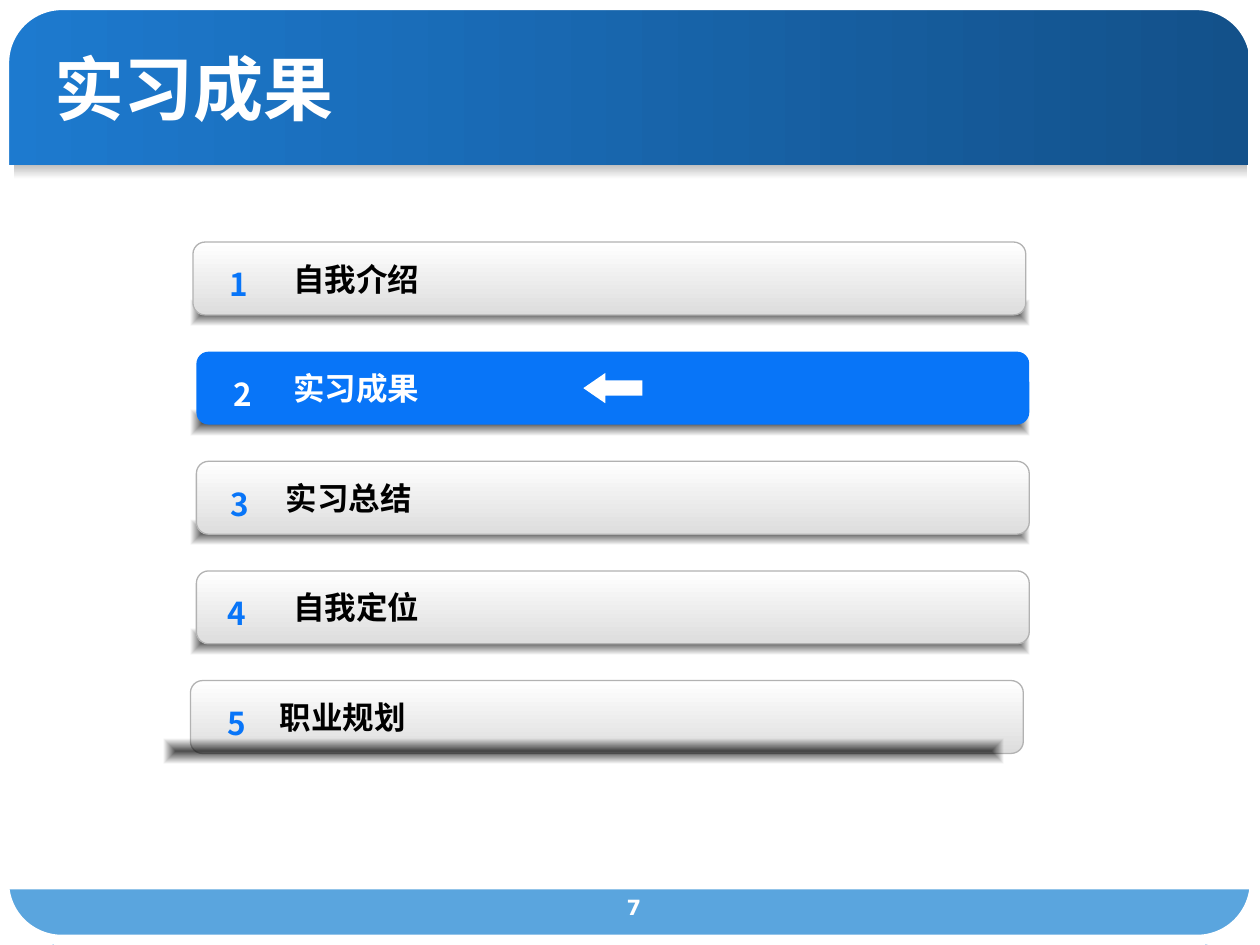
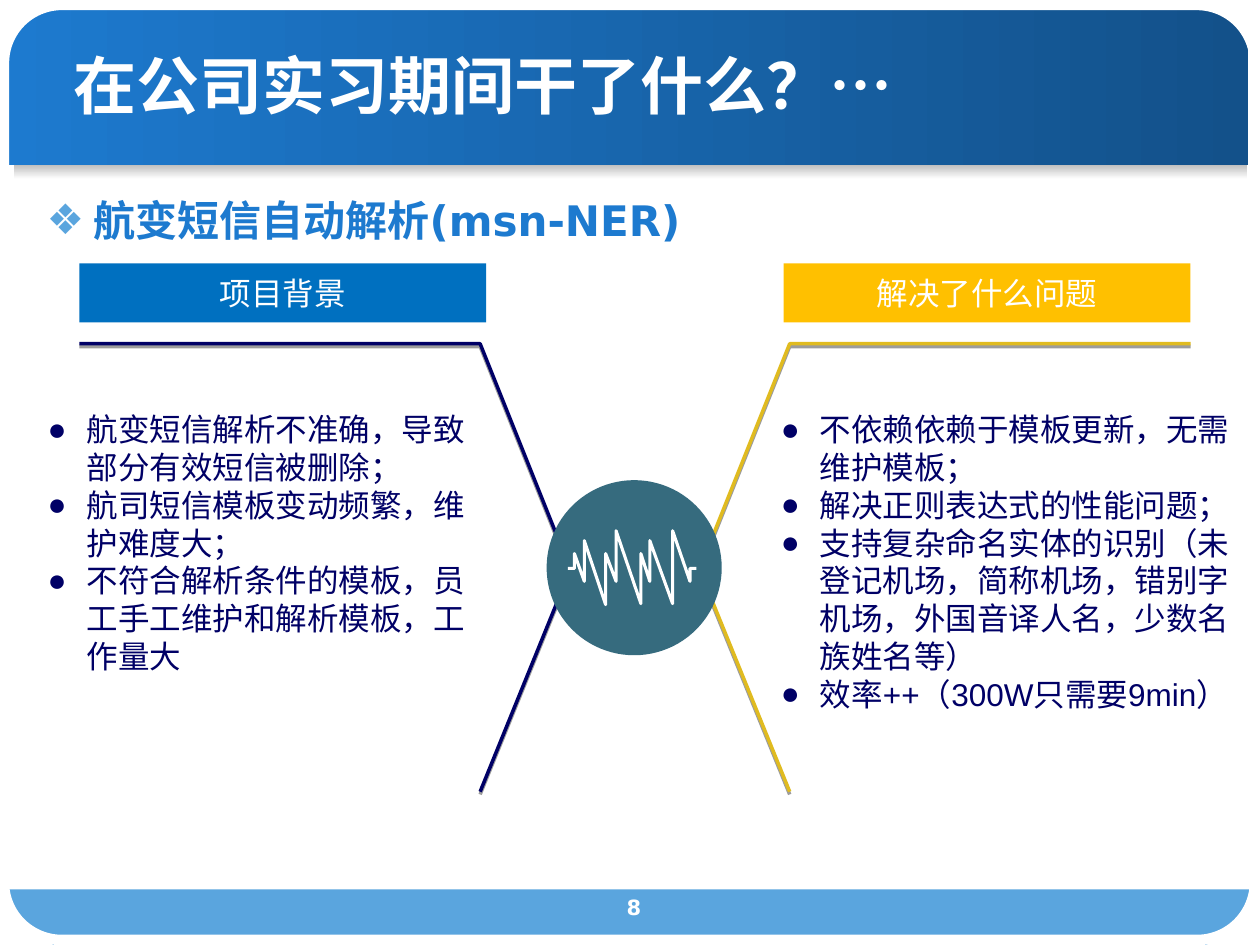
from pptx import Presentation
from pptx import util as u
from pptx.dml.color import RGBColor
from pptx.enum import shapes, text
from pptx.oxml import ns
from lxml import etree

WIDE, HIGH = 25.4, 19.05
WHITE, SKY, BRIGHT, NAVY, BLUE = "FFFFFF", "5AA5DE", "0875F8", "000066", "1D7ACF"
SANS, LATIN, DEJA = "Noto Sans CJK SC", "Arial", "DejaVu Sans"
KIND = shapes.MSO_SHAPE
ALIGN = text.PP_ALIGN
MID = text.MSO_ANCHOR.MIDDLE
PAD = (0.25, 0.13, 0.25, 0.13)


def color(code):
    return RGBColor.from_string(code)


def cm(*vals):
    return [u.Cm(v) for v in vals]


def child(node, tag, **attrs):
    return etree.SubElement(node, ns.qn("a:" + tag), attrs)


def paint(shape, fill=None, line=None, width=0.75, angle=0):
    """Fill is None, one hex string, or a pair of them for a gradient."""
    shape.shadow.inherit = False
    if fill is None:
        shape.fill.background()
    elif isinstance(fill, str):
        shape.fill.solid()
        shape.fill.fore_color.rgb = color(fill)
    else:
        shape.fill.gradient()
        shape.fill.gradient_angle = angle
        for stop, code in zip(shape.fill.gradient_stops, fill):
            stop.color.rgb = color(code)
    if line:
        shape.line.color.rgb = color(line)
        shape.line.width = u.Pt(width)
    else:
        shape.line.fill.background()
    return shape


def block(slide, kind, box, adjust=(), **look):
    shape = slide.shapes.add_shape(kind, *cm(*box))
    for i, val in enumerate(adjust):
        shape.adjustments[i] = val
    return paint(shape, **look)


def outline(slide, points, close=False, **look):
    first, *rest = [cm(*p) for p in points]
    pen = slide.shapes.build_freeform(*first, scale=1.0)
    pen.add_line_segments(rest, close=close)
    return paint(pen.convert_to_shape(), **look)


def bullet(para, mark, code, indent):
    props = para._p.get_or_add_pPr()
    props.set("marL", str(u.Cm(indent)))
    props.set("indent", str(-u.Cm(indent)))
    child(child(props, "buClr"), "srgbClr", val=code)
    child(props, "buFont", typeface=LATIN)
    child(props, "buChar", char=mark)


def write(shape, lines, size, code, font=SANS, bold=False, align=ALIGN.LEFT,
          pad=(0, 0, 0, 0), anchor=MID, wrap=True, mark=None):
    frame = shape.text_frame
    sides = ("left", "top", "right", "bottom")
    form = {"word_wrap": wrap, "vertical_anchor": anchor}
    form.update({"margin_" + s: u.Cm(v) for s, v in zip(sides, pad)})
    for name, val in form.items():
        setattr(frame, name, val)
    look = {"name": font, "size": u.Pt(size), "bold": bold}
    for i, words in enumerate(lines):
        para = frame.add_paragraph() if i else frame.paragraphs[0]
        para.alignment = align
        if mark:
            para.line_spacing = u.Pt(size * 1.2)
            bullet(para, *mark)
        run = para.add_run()
        run.text = words
        for name, val in look.items():
            setattr(run.font, name, val)
        run.font.color.rgb = color(code)
        child(run._r.get_or_add_rPr(), "ea", typeface=SANS)


def label(slide, box, lines, size, code, **form):
    write(slide.shapes.add_textbox(*cm(*box)), lines, size, code, **form)


# Shared frame: bands, rounded corners, title, page number
CORNERS = [
    [(0, 1.24), (0.33, 0.64), (0.69, 0.15), (1.22, 0), (0, 0)],
    [(1.07, HIGH), (0.51, 18.62), (0.1, 18.21), (0, 17.58), (0, HIGH)],
    [(WIDE, 17.75), (25.1, 18.39), (24.77, 18.87), (24.31, HIGH), (WIDE, HIGH)],
    [(24.13, 0), (24.77, 0.36), (25.25, 0.74), (WIDE, 1.27), (WIDE, 0)],
]


def base(deck, title, page, left, top, size, font):
    slide = deck.slides.add_slide(deck.slide_layouts[6])
    block(slide, KIND.RECTANGLE, (0, 0.03, 25.17, 3.3), fill=(BLUE, "13518A"))
    block(slide, KIND.RECTANGLE, (0, 17.93, 25.35, 1.12), fill=SKY)
    block(slide, KIND.RECTANGLE, (0.28, 3.33, 24.87, 0.28),
          fill=("C0C0C0", WHITE), angle=270)
    block(slide, KIND.ROUNDED_RECTANGLE, (0.08, 0.1, 25.22, 18.85), [0.062],
          line=WHITE, width=6)
    for points in CORNERS:
        outline(slide, points, close=True, fill=WHITE)
    label(slide, (left, top, 23.06, 1.57), [title], size, WHITE, font=font,
          bold=True, pad=PAD)
    label(slide, (11.51, 17.91, 2.54, 0.89), [str(page)], 12, WHITE, font=DEJA,
          bold=True, align=ALIGN.CENTER, pad=PAD, anchor=text.MSO_ANCHOR.TOP)
    return slide


# Agenda slide
def shade(slide, left, top):
    shape = block(slide, KIND.RECTANGLE, (left, top, 16.92, 0.51),
                  fill=("000000", "000000"))
    grad = shape._element.spPr.find(ns.qn("a:gradFill"))
    for tone, alpha in zip(grad.iter(ns.qn("a:srgbClr")), ("70000", "0")):
        child(tone, "alpha", val=alpha)
    lin = grad.find(ns.qn("a:lin"))
    if lin is not None:
        grad.remove(lin)
    glow = etree.Element(ns.qn("a:path"), {"path": "rect"})
    child(glow, "fillToRect", **dict.fromkeys("ltrb", "50000"))
    grad.find(ns.qn("a:gsLst")).addnext(glow)


def bar(slide, box, num, words, mid, start, live):
    left, top, _, high = box
    if live:
        look = {"fill": BRIGHT}
    else:
        look = {"fill": (WHITE, "DDDDDD"), "angle": 270, "line": "B2B2B2"}
    shape = block(slide, KIND.ROUNDED_RECTANGLE, box, [0.167], **look)
    write(shape, [words], 18, WHITE if live else "000000", bold=True,
          pad=(start - left, 0, 0, 0))
    label(slide, (mid - 0.5, top + 0.35, 1, 1), [str(num)], 18,
          WHITE if live else BRIGHT, bold=True, align=ALIGN.CENTER)
    if live:
        block(slide, KIND.LEFT_ARROW, (left + 7.8, top + 0.43, 1.19, 0.61),
              [0.503, 0.727], fill=WHITE)


def agenda(deck):
    slide = base(deck, "实习成果", 7, 0.84, 0.97, 40, LATIN)
    # words, bar left, number centre, words left
    rows = [("自我介绍", 3.89, 4.81, 5.84), ("实习成果", 3.96, 4.9, 5.84),
            ("实习总结", 3.96, 4.83, 5.69), ("自我定位", 3.96, 4.78, 5.84),
            ("职业规划", 3.84, 4.78, 5.57)]
    for num, (words, left, mid, start) in enumerate(rows, 1):
        top = 4.88 + 2.21 * (num - 1)
        last = num == len(rows)
        if not last:
            shade(slide, 3.84, top + 1.17)
        bar(slide, (left, top, 16.79, 1.47), num, words, mid, start, num == 2)
        if last:
            shade(slide, 3.3, top + 1.17)


# Project slide: two mirrored sides around a hub
AXIS = 12.8
ARM = [(1.6, 6.93), (9.68, 6.93), (11.5, 11.48), (9.68, 15.96)]
WAVE = [(0, 0.76), (0.13, 0.76), (0.13, 0.46), (0.33, 1.02), (0.33, 0.2),
        (0.76, 1.49), (0.76, 0.46), (0.97, 1.02), (0.97, 0), (1.47, 1.47),
        (1.47, 0.46), (1.65, 1.02), (1.65, 0.2), (2.11, 1.47), (2.11, 0),
        (2.46, 1.02), (2.46, 0.76), (2.59, 0.76)]


def arm(slide, points, code):
    shape = outline(slide, points, line=code, width=2)
    fx = shape._element.spPr.find(ns.qn("a:effectLst"))
    drop = child(fx, "outerShdw", blurRad="0", dist=str(u.Pt(1.6)),
                 dir="5400000", algn="ctr", rotWithShape="0")
    child(child(drop, "srgbClr", val="000000"), "alpha", val="38000")


def side(slide, box, head, tint, items):
    tab = block(slide, KIND.RECTANGLE, (box[0], 5.31, 8.2, 1.19), fill=tint)
    write(tab, [head], 18, WHITE, align=ALIGN.CENTER, wrap=False)
    label(slide, box[1:], items, 18, NAVY, font=LATIN, pad=PAD,
          anchor=text.MSO_ANCHOR.TOP, mark=("●", NAVY, 0.79))


def hub(slide, left, top, size):
    block(slide, KIND.OVAL, (left, top, size, size), fill="366B7E")
    outline(slide, [(left + 0.43 + x, top + 1.02 + y) for x, y in WAVE],
            line=WHITE, width=1.75)


def project(deck):
    slide = base(deck, "在公司实习期间干了什么？…", 8, 1.24, 0.91, 36, SANS)
    label(slide, (0.69, 3.8, 24.2, 1.5), ["航变短信自动解析(msn-NER)"], 24, BLUE,
          font=DEJA, bold=True, pad=PAD, anchor=text.MSO_ANCHOR.TOP,
          mark=("❖", SKY, 0.95))
    arm(slide, ARM, NAVY)
    arm(slide, [(2 * AXIS - x, y) for x, y in ARM], "E0BB20")
    side(slide, (1.6, 0.71, 8.14, 9.4, 5.59), "项目背景", "0070C0",
         ["航变短信解析不准确，导致部分有效短信被删除；",
          "航司短信模板变动频繁，维护难度大；",
          "不符合解析条件的模板，员工手工维护和解析模板，工作量大"])
    side(slide, (15.8, 15.49, 8.14, 9.75, 7.87), "解决了什么问题", "FFC000",
         ["不依赖依赖于模板更新，无需维护模板；",
          "解决正则表达式的性能问题；",
          "支持复杂命名实体的识别（未登记机场，简称机场，错别字机场，"
          "外国音译人名，少数名族姓名等）",
          "效率++（300W只需要9min）"])
    hub(slide, 11.02, 9.68, 3.53)


def main():
    deck = Presentation()
    deck.slide_width, deck.slide_height = cm(WIDE, HIGH)
    agenda(deck)
    project(deck)
    deck.save("out.pptx")


if __name__ == "__main__":
    main()
